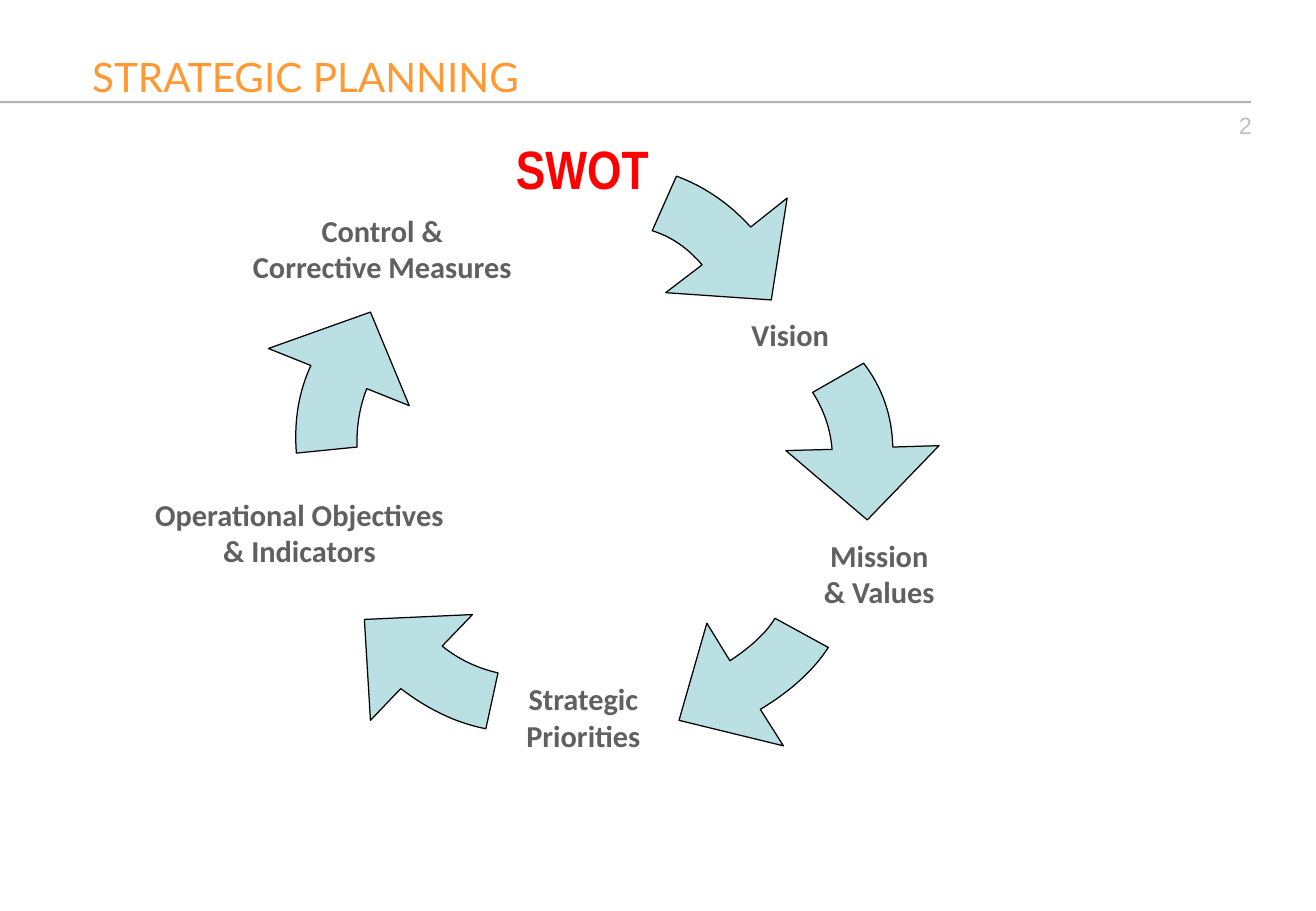
"""Build the strategic planning cycle slide."""
from dataclasses import dataclass

from pptx import Presentation
from pptx.dml.color import RGBColor
from pptx.enum import shapes, text
from pptx.util import Pt

Point = tuple[float, float]
Curve = tuple[Point, Point, Point]

CENTER = text.PP_ALIGN.CENTER
CURVE_STEPS = 16


@dataclass
class Label:
    wording: str
    left: float
    top: float
    width: float
    height: float
    size: float = 18
    font: str = "Calibri"
    color: str = "606060"
    bold: bool = True
    align: text.PP_ALIGN = CENTER
    anchor: text.MSO_ANCHOR = text.MSO_ANCHOR.TOP
    inset: Point = (0, 0)
    wrap: bool = False


@dataclass
class CycleArrow:
    """An inner and an outer curve (start, control, end) and three head corners."""
    inner: Curve
    outer: Curve
    head: Curve
    outline: float = 0.75


TEXT_INSET = (7.2, 3.6)

LABELS = [
    Label("Vision", 438.4, 187.2, 60, 21.6),
    Label("Operational Objectives\n& Indicators", 87.5, 293.8, 180, 43.9),
    Label("Control &\nCorrective Measures", 141.6, 125.5, 170, 43.9),
    Label("Strategic\nPriorities", 305.8, 403.2, 80, 43.9),
    Label("Mission\n& Values", 481.2, 318.4, 80, 43.9),
    Label("STRATEGIC PLANNING", 47.5, 20.2, 732.2, 49.7, 24, "Lato", "FF9933", False,
          text.PP_ALIGN.LEFT, text.MSO_ANCHOR.MIDDLE, TEXT_INSET, True),
    Label("SWOT", 298.4, 76.6, 93.6, 46.1, 32, "Arial Narrow", "FF0000", inset=TEXT_INSET),
    Label("2", 581.4, 61.9, 167.8, 37.4, 14, "Arial", "C0C0C0", False,
          text.PP_ALIGN.RIGHT, inset=TEXT_INSET, wrap=True),
]

ARROWS = [
    CycleArrow(((493.2, 266.4), (491.8, 248.4), (481.7, 232.6)),
               ((511.9, 215.3), (528.5, 236.9), (529.2, 265)),
               ((556.6, 264.2), (514.1, 308.2), (465.8, 267.1)), 0),
    CycleArrow(((432.7, 391.7), (452.2, 378.7), (459.4, 366.5)),
               ((491, 383.8), (477.7, 404.3), (450.7, 420.5)),
               ((464.4, 442.1), (402.5, 427), (419, 369.4))),
    CycleArrow(((262.1, 383), (276.5, 394.6), (295.2, 398.9)),
               ((288, 432), (262.1, 427), (237.6, 408.2)),
               ((219.6, 427), (216, 367.2), (280.1, 364.3))),
    CycleArrow(((217.4, 230.4), (211, 247), (211.7, 265)),
               ((175.7, 268.6), (173.5, 239.8), (184.3, 216.7)),
               ((159.1, 206.6), (219.6, 185), (242.6, 240.5))),
    CycleArrow(((416.2, 157), (403.2, 141.8), (386.6, 136.8)),
               ((401, 104.4), (426.2, 113.8), (445, 134.6)),
               ((466.6, 117.4), (457.2, 177.8), (394.6, 173.5)), 0),
]


def paint(color_format, color: str) -> None:
    color_format.rgb = RGBColor.from_string(color)


def trace(curve: Curve) -> list[Point]:
    """Return points along a quadratic curve."""
    points = []
    for step in range(CURVE_STEPS + 1):
        t = step / CURVE_STEPS
        weights = ((1 - t) ** 2, 2 * t * (1 - t), t ** 2)
        x, y = (sum(w * p[axis] for w, p in zip(weights, curve)) for axis in (0, 1))
        points.append((x, y))
    return points


def draw_arrow(slide, arrow: CycleArrow) -> None:
    corners = trace(arrow.inner) + trace(arrow.outer) + list(arrow.head)
    start, *rest = [(Pt(x), Pt(y)) for x, y in corners]
    builder = slide.shapes.build_freeform(*start)
    builder.add_line_segments(rest, close=True)
    body = builder.convert_to_shape()
    body.shadow.inherit = False
    body.fill.solid()
    paint(body.fill.fore_color, "BBE0E3")
    paint(body.line.color, "000000")
    body.line.width = Pt(arrow.outline)


def draw_label(slide, label: Label) -> None:
    box = slide.shapes.add_textbox(Pt(label.left), Pt(label.top),
                                   Pt(label.width), Pt(label.height))
    frame = box.text_frame
    frame.word_wrap = label.wrap
    frame.vertical_anchor = label.anchor
    frame.margin_left = frame.margin_right = Pt(label.inset[0])
    frame.margin_top = frame.margin_bottom = Pt(label.inset[1])
    frame.text = label.wording
    for paragraph in frame.paragraphs:
        paragraph.alignment = label.align
        for run in paragraph.runs:
            run.font.name = label.font
            run.font.size = Pt(label.size)
            run.font.bold = label.bold
            paint(run.font.color, label.color)


def draw_title_rule(slide) -> None:
    rule = slide.shapes.add_shape(shapes.MSO_SHAPE.RECTANGLE, Pt(0), Pt(60), Pt(741.6), Pt(1.2))
    rule.shadow.inherit = False
    rule.fill.solid()
    paint(rule.fill.fore_color, "B2B2B2")
    rule.line.fill.background()


def main() -> None:
    deck = Presentation()
    deck.slide_width, deck.slide_height = Pt(780), Pt(540)
    slide = deck.slides.add_slide(deck.slide_layouts[6])
    draw_title_rule(slide)
    for arrow in ARROWS:
        draw_arrow(slide, arrow)
    for label in LABELS:
        draw_label(slide, label)
    deck.save("out.pptx")


if __name__ == "__main__":
    main()
